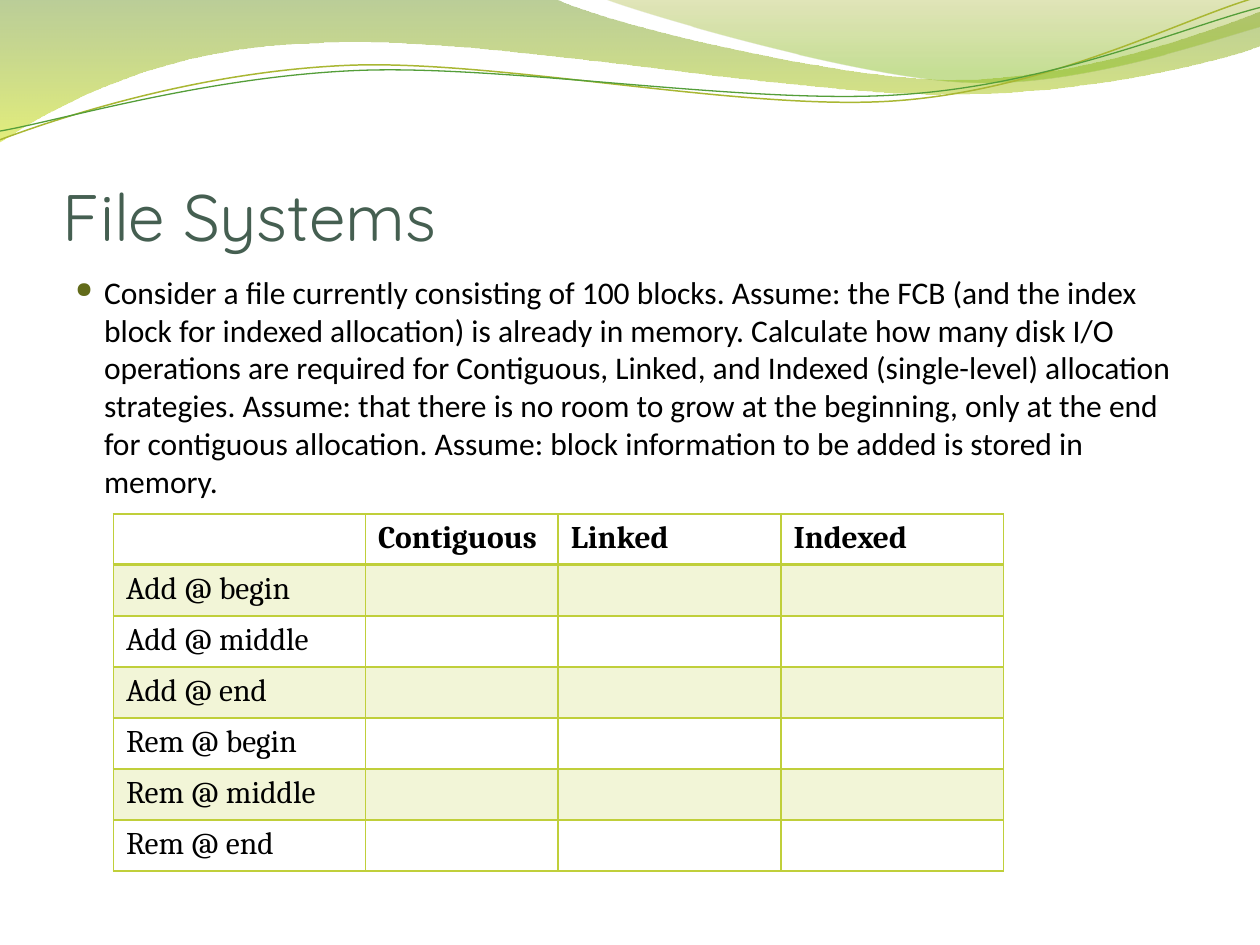
import math
from dataclasses import dataclass

from lxml import etree
from pptx import Presentation
from pptx.dml.color import RGBColor
from pptx.enum.text import MSO_ANCHOR
from pptx.oxml.ns import qn
from pptx.util import Pt

BOTTOM = MSO_ANCHOR.BOTTOM


@dataclass(frozen=True)
class Theme:
    title_color: str = "455F51"
    text_color: str = "000000"
    bullet_color: str = "626B1A"
    table_color: str = "C0CF3A"
    olive_line: str = "A9B733"
    green_line: str = "549E39"
    left_wave: tuple = ((0, "69921C", 45), (1, "CCE10F", 55))
    right_wave: tuple = ((0, "9BAA1A", 30), (0.8, "81BA16", 45))
    title_font: str = "Quicksand"
    body_font: str = "Calibri"
    table_font: str = "Cambria"
    title_size: float = 37.5
    body_size: float = 18


THEME = Theme()
CURVE_TILT = -2.7
LEFT_WAVE = [
    [(0, 0)],
    [(317, -0.7)],
    [(342, 12.2), (477.4, 45.4), (545.8, 45.4)],
    [(614.2, 45.4), (689.8, 18.7), (720, 6.5)],
    [(720.7, 25.9)],
    [(707.8, 31.7), (625.7, 54.7), (537.1, 54)],
    [(447.8, 54), (274.3, 20.2), (185, 24.5)],
    [(92.9, 25.9), (33.1, 59.8), (-0.7, 81.4)],
]
RIGHT_WAVE = [
    [(344.9, -0.7)],
    [(366.5, 7.9), (491, 44.6), (553, 46.8)],
    [(615.6, 49.7), (691.9, 23), (720, 15.1)],
    [(720, 0)],
]
OLIVE_CURVE = [
    [(0, 79.9)],
    [(34.6, 67), (113, 41), (198.7, 37.4)],
    [(284.4, 33.8), (426.2, 64.1), (512.6, 57.6)],
    [(599.8, 51.1), (675.4, 10.8), (717.8, -1.4)],
]
GREEN_CURVE = [
    [(0, 74.9)],
    [(33.8, 69.1), (117.4, 43.9), (203.8, 40.3)],
    [(289.4, 36.7), (429.8, 60.5), (516.2, 54)],
    [(601.9, 48.2), (677.5, 15.1), (720, 4.3)],
]
QUESTION = (
    "Consider a file currently consisting of 100 blocks. Assume: the FCB (and the index block "
    "for indexed allocation) is already in memory. Calculate how many disk I/O operations are "
    "required for Contiguous, Linked, and Indexed (single-level) allocation strategies. Assume: "
    "that there is no room to grow at the beginning, only at the end for contiguous allocation. "
    "Assume: block information to be added is stored in memory."
)
HEADERS = ["", "Contiguous", "Linked", "Indexed"]
OPERATIONS = [f"{action} @ {place}" for action in ("Add", "Rem")
              for place in ("begin", "middle", "end")]


def style_text(paragraph, font, size, color, bold=False):
    for run in paragraph.runs:
        run.font.name = font
        run.font.size = Pt(size)
        run.font.bold = bold
        run.font.color.rgb = RGBColor.from_string(color)


def set_alpha(element, percents):
    for color, percent in zip(element.iter(qn("a:srgbClr")), percents):
        etree.SubElement(color, qn("a:alpha"), val=str(percent * 1000))


def rotate(point, center, degrees):
    angle = math.radians(degrees)
    x, y = point[0] - center[0], point[1] - center[1]
    return (center[0] + x * math.cos(angle) - y * math.sin(angle),
            center[1] + x * math.sin(angle) + y * math.cos(angle))


def add_outline(slide, left, top, segments, close):
    points = [(Pt(left + x), Pt(top + y)) for segment in segments for x, y in segment]
    builder = slide.shapes.build_freeform(*points[0])
    builder.add_line_segments(points[1:], close=close)
    shape = builder.convert_to_shape()
    shape.shadow.inherit = False
    lines = iter(list(shape._element.iter(qn("a:lnTo"))))
    for segment in segments[1:]:
        parts = [next(lines) for _ in segment]
        if len(parts) == 3:
            curve = etree.Element(qn("a:cubicBezTo"))
            parts[0].addprevious(curve)
            for part in parts:
                curve.append(part[0])
                part.getparent().remove(part)
    return shape


def add_wave(slide, left, top, segments, stops):
    shape = add_outline(slide, left, top, segments, True)
    shape.line.fill.background()
    shape.fill.gradient()
    shape.fill.gradient_angle = 270
    for stop, (position, color, _) in zip(shape.fill.gradient_stops, stops):
        stop.position = position
        stop.color.rgb = RGBColor.from_string(color)
    set_alpha(shape._element.spPr, [alpha for _, _, alpha in stops])


def add_curve(slide, left, top, segments, center, color, width):
    level = [[rotate(point, center, -CURVE_TILT) for point in segment] for segment in segments]
    shape = add_outline(slide, left, top, level, False)
    shape.rotation = CURVE_TILT
    shape.fill.background()
    shape.line.color.rgb = RGBColor.from_string(color)
    shape.line.width = Pt(width)


def add_banner(slide, left, top):
    add_wave(slide, left, top, LEFT_WAVE, THEME.left_wave)
    add_wave(slide, left, top, RIGHT_WAVE, THEME.right_wave)
    add_curve(slide, left, top, OLIVE_CURVE, (359.3, 41.4), THEME.olive_line, 0.85)
    add_curve(slide, left, top, GREEN_CURVE, (359.6, 42.5), THEME.green_line, 0.75)


def add_title(slide, left, top, width, height):
    frame = slide.shapes.add_textbox(Pt(left), Pt(top), Pt(width), Pt(height)).text_frame
    frame.word_wrap = True
    frame.vertical_anchor = BOTTOM
    frame.margin_left = frame.margin_right = frame.margin_bottom = 0
    frame.text = "File Systems"
    style_text(frame.paragraphs[0], THEME.title_font, THEME.title_size, THEME.title_color)


def add_question(slide, left, top, width, height):
    frame = slide.shapes.add_textbox(Pt(left), Pt(top), Pt(width), Pt(height)).text_frame
    frame.word_wrap = True
    frame.text = QUESTION
    paragraph = frame.paragraphs[0]
    paragraph.space_before = Pt(THEME.body_size * 0.2)
    style_text(paragraph, THEME.body_font, THEME.body_size, THEME.text_color)
    properties = paragraph._p.get_or_add_pPr()
    properties.set("marL", str(Pt(16.4)))
    properties.set("indent", str(Pt(-16.4)))
    bullet_color = etree.SubElement(properties, qn("a:buClr"))
    etree.SubElement(bullet_color, qn("a:srgbClr"), val=THEME.bullet_color)
    etree.SubElement(properties, qn("a:buSzPct"), val="70000")
    etree.SubElement(properties, qn("a:buChar"), char="●")


def add_borders(cell, widths):
    properties = cell._tc.get_or_add_tcPr()
    for index, (side, width) in enumerate(widths.items()):
        line = etree.Element(qn(f"a:ln{side}"), w=str(Pt(width)))
        fill = etree.SubElement(line, qn("a:solidFill"))
        etree.SubElement(fill, qn("a:srgbClr"), val=THEME.table_color)
        properties.insert(index, line)


def add_operations_table(slide, left, top, width, height):
    rows = [HEADERS] + [[operation, "", "", ""] for operation in OPERATIONS]
    table = slide.shapes.add_table(len(rows), len(HEADERS), Pt(left), Pt(top),
                                   Pt(width), Pt(height)).table
    table.first_row = table.horz_banding = False
    label_width, contiguous_width = 144, 110.2
    rest_width = (width - label_width - contiguous_width) / 2
    for column, size in zip(table.columns,
                            (label_width, contiguous_width, rest_width, rest_width)):
        column.width = Pt(size)
    for row_index, row in enumerate(rows):
        table.rows[row_index].height = Pt(height / len(rows))
        for column_index, text in enumerate(row):
            cell = table.cell(row_index, column_index)
            cell.text = text
            style_text(cell.text_frame.paragraphs[0], THEME.table_font, THEME.body_size,
                       THEME.text_color, row_index == 0)
            if row_index % 2:
                cell.fill.solid()
                cell.fill.fore_color.rgb = RGBColor.from_string(THEME.table_color)
                set_alpha(cell._tc.tcPr, [20])
            else:
                cell.fill.background()
            add_borders(cell, {"L": 1, "R": 1, "T": 2 if row_index == 1 else 1,
                               "B": 2 if row_index == 0 else 1})


def main():
    presentation = Presentation()
    presentation.slide_width, presentation.slide_height = Pt(720), Pt(540)
    slide = presentation.slides.add_slide(presentation.slide_layouts[6])
    add_banner(slide, 0, 0)
    add_title(slide, 36, 55.5, 648, 90)
    add_question(slide, 36, 152.4, 648, 345.6)
    add_operations_table(slide, 64.8, 293.6, 508.8, 204.12)
    presentation.save("out.pptx")


if __name__ == "__main__":
    main()
